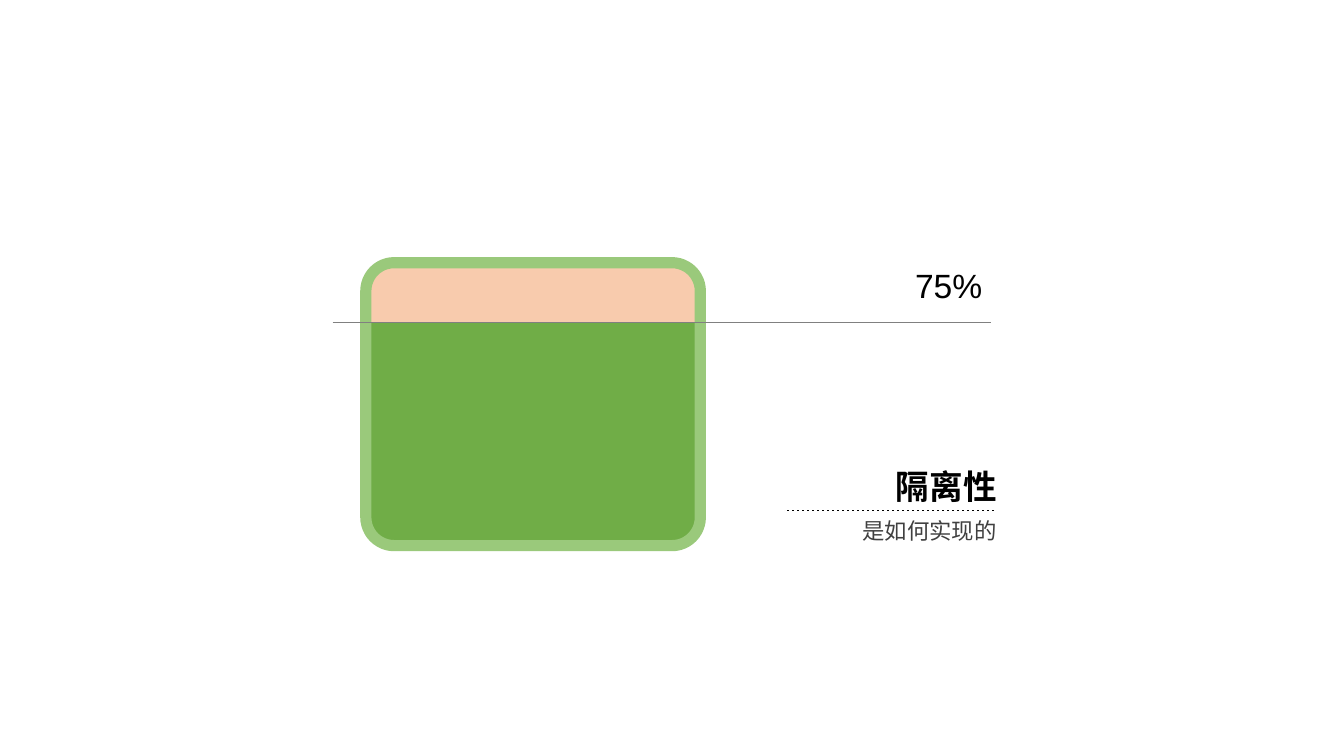
import copy
import lxml.etree
import pptx
import pptx.dml.color
import pptx.enum.shapes
import pptx.enum.text
import pptx.oxml.ns
import pptx.util

Cm = pptx.util.Cm
Pt = pptx.util.Pt
Align = pptx.enum.text.PP_ALIGN
Anchor = pptx.enum.text.MSO_ANCHOR
tag = pptx.oxml.ns.qn


def tint(code):
    return pptx.dml.color.RGBColor.from_string(code)


def write(box, text, place, size, color="000000", bold=False,
          align=Align.RIGHT, anchor=Anchor.TOP):
    box.left, box.top, box.width, box.height = [Cm(n) for n in place]
    frame = box.text_frame
    frame.auto_size = pptx.enum.text.MSO_AUTO_SIZE.NONE
    frame.word_wrap = False
    frame.vertical_anchor = anchor
    frame.text = text
    para = frame.paragraphs[0]
    para.alignment = align
    para.space_before = Pt(0)
    font = para.runs[0].font
    font.name, font.size, font.bold = "Arial", Pt(size), bold
    font.color.rgb = tint(color)


# Slide
deck = pptx.Presentation()
deck.slide_width, deck.slide_height = Cm(33.87), Cm(19.05)
slide = deck.slides.add_slide(deck.slide_layouts[0])
shapes = slide.shapes

# Gauge: a plain block whose colour changes at the level line
level = 8.13
top, height = 6.62, 7.13
share = (top + height - level) / height
gauge = shapes.add_shape(pptx.enum.shapes.MSO_SHAPE.ROUNDED_RECTANGLE,
                         Cm(9.22), Cm(top), Cm(8.43), Cm(height))
gauge.adjustments[0] = 0.1
gauge.shadow.inherit = False
gauge.line.width = Pt(8)
gauge.line.color.rgb = tint("9AC97B")
gauge.fill.gradient()
gauge.fill.gradient_angle = 90
stops = gauge._element.xpath(".//a:gsLst")[0]
for extra in range(2):
    stops.append(copy.deepcopy(stops[0]))
for stop, (spot, hue) in zip(gauge.fill.gradient_stops, [
        (0, "70AD47"), (share, "70AD47"), (share, "F8CBAD"), (1, "F8CBAD")]):
    stop.position = spot
    stop.color.rgb = tint(hue)

# Level line and dashed rule
for left, right, high, color, dashed in [
        (8.38, 24.97, level, "808080", False),
        (19.84, 25.07, 12.85, "000000", True)]:
    line = shapes.add_connector(pptx.enum.shapes.MSO_CONNECTOR.STRAIGHT,
                                Cm(left), Cm(high), Cm(right), Cm(high))
    line.line.width = Pt(0.5)
    line.line.color.rgb = tint(color)
    if dashed:
        dash = lxml.etree.SubElement(line._element.spPr.find(tag("a:ln")),
                                     tag("a:custDash"))
        lxml.etree.SubElement(dash, tag("a:ds"), d="300000", sp="400000")
    lxml.etree.SubElement(line._element.spPr, tag("a:effectLst"))

# Texts
write(shapes.title, "隔离性", (19.84, 11.32, 5.53, 1.57), 24, bold=True,
      anchor=Anchor.BOTTOM)
write(slide.placeholders[1], "是如何实现的", (19.84, 12.9, 5.53, 1.57), 16,
      color="404040")
label = shapes.add_textbox(0, 0, 0, 0)
write(label, "75%", (22.81, 6.65, 2.18, 1.07), 24, align=Align.LEFT,
      anchor=Anchor.MIDDLE)

deck.save("out.pptx")
